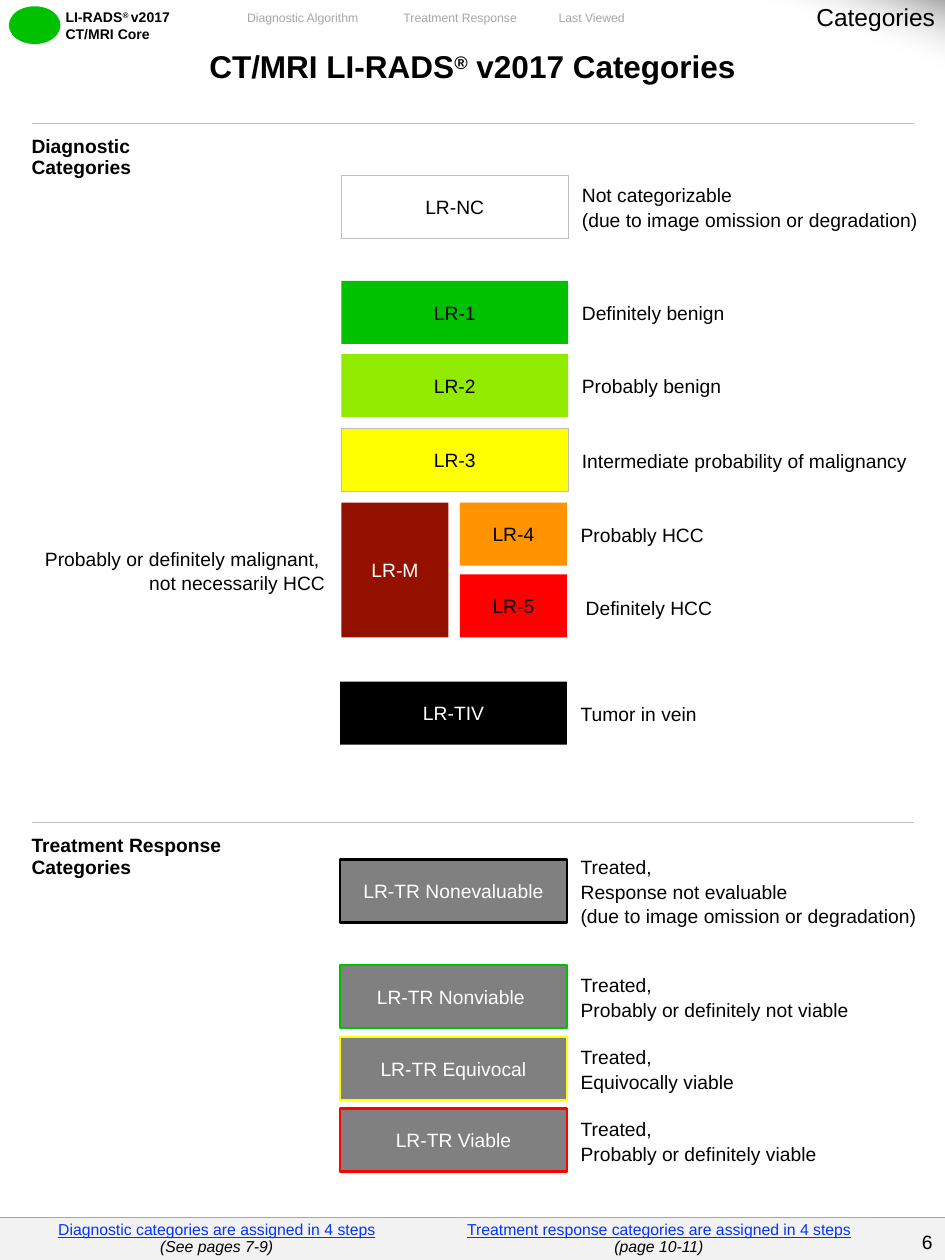
import pptx
import pptx.dml.color
import pptx.enum.shapes
import pptx.enum.text
import pptx.oxml
import pptx.oxml.ns
import pptx.util
from pptx.util import Inches

COLORS = {
    "black": "000000", "white": "FFFFFF", "rule": "BFBFBF", "muted": "A6A6A6",
    "benign": "00C100", "likely_benign": "90EB00", "intermediate": "FFFF00",
    "likely_hcc": "FF9300", "hcc": "FF0000", "malignant": "941100",
    "treated": "808080", "footer": "F2F2F2", "link": "0432FF",
}
ALIGN = pptx.enum.text.PP_ALIGN
ANCHOR = pptx.enum.text.MSO_ANCHOR
SHAPE = pptx.enum.shapes.MSO_SHAPE
PLAIN_TABLE_STYLE = "{2D5ABB26-0587-4C30-8999-92F81FD0307C}"


def rgb(name):
    return pptx.dml.color.RGBColor.from_string(COLORS[name])


class CategoryPage:
    font = "Arial"
    body_size = 11

    def __init__(self, slide):
        self.slide = slide

    def add_lines(self, frame, lines, size=body_size, color="black", align=ALIGN.LEFT,
                  spacing=None, bold=False):
        """Each line is a string or a list of (text, style dict) runs."""
        for index, line in enumerate(lines):
            paragraph = frame.paragraphs[0] if index == 0 else frame.add_paragraph()
            paragraph.alignment = align
            if spacing:
                paragraph.line_spacing = spacing
            for text, style in [(line, {})] if isinstance(line, str) else line:
                run = paragraph.add_run()
                run.text = text
                run.font.name = self.font
                run.font.size = pptx.util.Pt(size)
                run.font.bold = bold
                run.font.italic = style.get("italic", False)
                run.font.underline = style.get("underline", False)
                run.font.color.rgb = rgb(style.get("color", color))
                if style.get("superscript"):
                    run.font._element.set("baseline", "30000")

    def inset(self, target, left, top, right, bottom):
        target.margin_left, target.margin_top = Inches(left), Inches(top)
        target.margin_right, target.margin_bottom = Inches(right), Inches(bottom)

    def text(self, box, lines, insets=(0.1, 0.05, 0.1, 0.05), anchor=ANCHOR.MIDDLE,
             wrap=True, **style):
        frame = self.slide.shapes.add_textbox(*map(Inches, box)).text_frame
        frame.word_wrap = wrap
        frame.vertical_anchor = anchor
        self.inset(frame, *insets)
        self.add_lines(frame, lines, **style)

    def shape(self, box, fill, kind=SHAPE.RECTANGLE, line=None, width=0.5):
        shape = self.slide.shapes.add_shape(kind, *map(Inches, box))
        shape.shadow.inherit = False
        shape.fill.solid()
        shape.fill.fore_color.rgb = rgb(fill)
        if line:
            shape.line.color.rgb = rgb(line)
            shape.line.width = pptx.util.Pt(width)
        else:
            shape.line.fill.background()
        return shape

    def block(self, box, label, fill, color="black", line=None, width=0.5):
        frame = self.shape(box, fill, line=line, width=width).text_frame
        frame.word_wrap = True
        frame.vertical_anchor = ANCHOR.MIDDLE
        self.inset(frame, 0, 0, 0, 0)
        self.add_lines(frame, [label], color=color, align=ALIGN.CENTER)

    def meaning(self, left, top, lines):
        self.text((left, top, 2.9, 0.5), lines, insets=(0.1, 0, 0.1, 0), spacing=1.07)

    def category(self, left, top, label, lines, fill, **style):
        self.meaning(left + 1.81, top, lines)
        self.block((left, top, 1.8, 0.5), label, fill, **style)

    def table(self, left, top, widths, heights):
        frame = self.slide.shapes.add_table(
            len(heights), len(widths), Inches(left), Inches(top),
            Inches(sum(widths)), Inches(sum(heights)))
        table = frame.table
        table.first_row = table.horz_banding = False
        table._tbl.xpath(".//a:tableStyleId")[0].text = PLAIN_TABLE_STYLE
        for column, width in zip(table.columns, widths):
            column.width = Inches(width)
        for row, height in zip(table.rows, heights):
            row.height = Inches(height)
        return table

    def cell(self, cell, lines, insets, fill=None, edge=None, **style):
        """edge is (side tag, colour name, points)."""
        self.inset(cell, *insets)
        if fill:
            cell.fill.solid()
            cell.fill.fore_color.rgb = rgb(fill)
        else:
            cell.fill.background()
        if edge:
            side, color, points = edge
            border = pptx.oxml.parse_xml(
                f'<a:{side} {pptx.oxml.ns.nsdecls("a")} w="{pptx.util.Pt(points)}">'
                f'<a:solidFill><a:srgbClr val="{COLORS[color]}"/></a:solidFill></a:{side}>')
            cell._tc.get_or_add_tcPr().insert(0, border)
        self.add_lines(cell.text_frame, lines, **style)

    def corner_shade(self, box):
        shade = self.shape(box, "white", SHAPE.RIGHT_TRIANGLE)
        shade.rotation = 180
        shade.fill.gradient()
        shade.fill.gradient_angle = 70
        for stop, color, position in zip(shade.fill.gradient_stops, ("muted", "white"), (0, 0.5)):
            stop.color.rgb = rgb(color)
            stop.position = position
        clear = shade._element.xpath(".//a:gs[2]/a:srgbClr")[0]
        clear.append(pptx.oxml.parse_xml(f'<a:alpha {pptx.oxml.ns.nsdecls("a")} val="0"/>'))


def add_header(page):
    page.text((0.45, 0.03, 1.29, 0.34),
              [[("LI-RADS", {}), ("® ", {"superscript": True}), ("v2017", {})], "CT/MRI Core"],
              insets=(0.07, 0.04, 0.07, 0.04), anchor=ANCHOR.TOP, size=8, bold=True)
    page.shape((0.07, 0.05, 0.41, 0.3), "benign", SHAPE.OVAL)
    for left, width, label in ((1.84, 1.15, "Diagnostic Algorithm "),
                               (3.09, 1.15, "Treatment Response "),
                               (4.33, 0.76, "Last Viewed ")):
        page.text((left, 0.03, width, 0.22), [label], wrap=False, size=7,
                  color="muted", align=ALIGN.CENTER)


def add_sections(page):
    sections = page.table(0.25, 0.4, [7], [0.58, 5.55, 0.87])
    rule = ("lnB", "rule", 0.5)
    title = [("CT/MRI LI-RADS", {}), ("®", {"superscript": True}), (" v2017 Categories", {})]
    page.cell(sections.cell(0, 0), [title], (0.1, 0, 0.1, 0.15), edge=rule,
              size=18, bold=True, align=ALIGN.CENTER)
    for row, heading, edge in ((1, "Diagnostic", rule), (2, "Treatment Response", None)):
        page.cell(sections.cell(row, 0), [heading, "Categories"], (0, 0.1, 0, 0),
                  edge=edge, bold=True)


def add_diagnostic_categories(page):
    omission = "(due to image omission or degradation)"
    page.category(2.71, 1.39, "LR-NC", ["Not categorizable", omission], "white", line="rule")
    page.category(2.7, 5.41, "LR-TIV", ["Tumor in vein"], "black", color="white")
    page.category(2.71, 2.23, "LR-1", ["Definitely benign"], "benign")
    page.category(2.71, 2.81, "LR-2", ["Probably benign"], "likely_benign")
    page.category(2.71, 3.4, "LR-3", ["Intermediate probability of malignancy"],
                  "intermediate", line="rule", width=0.25)
    page.meaning(4.51, 3.99, ["Probably HCC"])
    page.meaning(4.55, 4.57, ["Definitely HCC"])
    page.text((0.15, 3.99, 2.53, 1.07),
              ["Probably or definitely malignant, ", "not necessarily HCC"],
              insets=(0.1, 0, 0.1, 0), align=ALIGN.RIGHT, spacing=1.05)
    page.block((3.65, 3.99, 0.85, 0.5), "LR-4", "likely_hcc")
    page.block((3.65, 4.56, 0.85, 0.5), "LR-5", "hcc")
    page.block((2.71, 3.99, 0.85, 1.07), "LR-M", "malignant", color="white")


def add_treatment_categories(page):
    responses = (
        (6.82, "LR-TR Nonevaluable", "black",
         ["Response not evaluable", "(due to image omission or degradation)"]),
        (7.66, "LR-TR Nonviable ", "benign", ["Probably or definitely not viable"]),
        (8.23, "LR-TR Equivocal", "intermediate", ["Equivocally viable"]),
        (8.8, "LR-TR Viable", "hcc", ["Probably or definitely viable"]),
    )
    for top, label, outline, response in responses:
        page.category(2.7, top, label, ["Treated,"] + response, "treated",
                      color="white", line=outline, width=1.5)


def add_footer(page):
    footer = page.table(0, 9.66, [3.44, 3.58, 0.48], [0.34])
    notes = (("Diagnostic categories are assigned in 4 steps", "(See pages 7-9)"),
             ("Treatment response categories are assigned in 4 steps", "(page 10-11)"),
             ())
    styles = ({"color": "link", "underline": True}, {"italic": True})
    for column, note in enumerate(notes):
        cell = footer.cell(0, column)
        cell.vertical_anchor = ANCHOR.MIDDLE
        page.cell(cell, [[run] for run in zip(note, styles)], (0.1, 0.02, 0.1, 0.02),
                  fill="footer", edge=("lnT", "muted", 0.25), size=9,
                  align=ALIGN.CENTER, spacing=0.95)
    page.text((7.01, 9.71, 0.49, 0.29), ["6"], wrap=False, align=ALIGN.RIGHT)


def main():
    deck = pptx.Presentation()
    deck.slide_width, deck.slide_height = Inches(7.5), Inches(10)
    page = CategoryPage(deck.slides.add_slide(deck.slide_layouts[6]))
    add_header(page)
    add_sections(page)
    add_diagnostic_categories(page)
    add_treatment_categories(page)
    add_footer(page)
    page.corner_shade((5.99, 0, 1.51, 0.55))
    page.text((5.42, -0.03, 2.1, 0.34), ["Categories"], anchor=ANCHOR.TOP,
              size=14, align=ALIGN.RIGHT)
    deck.save("out.pptx")


if __name__ == "__main__":
    main()
